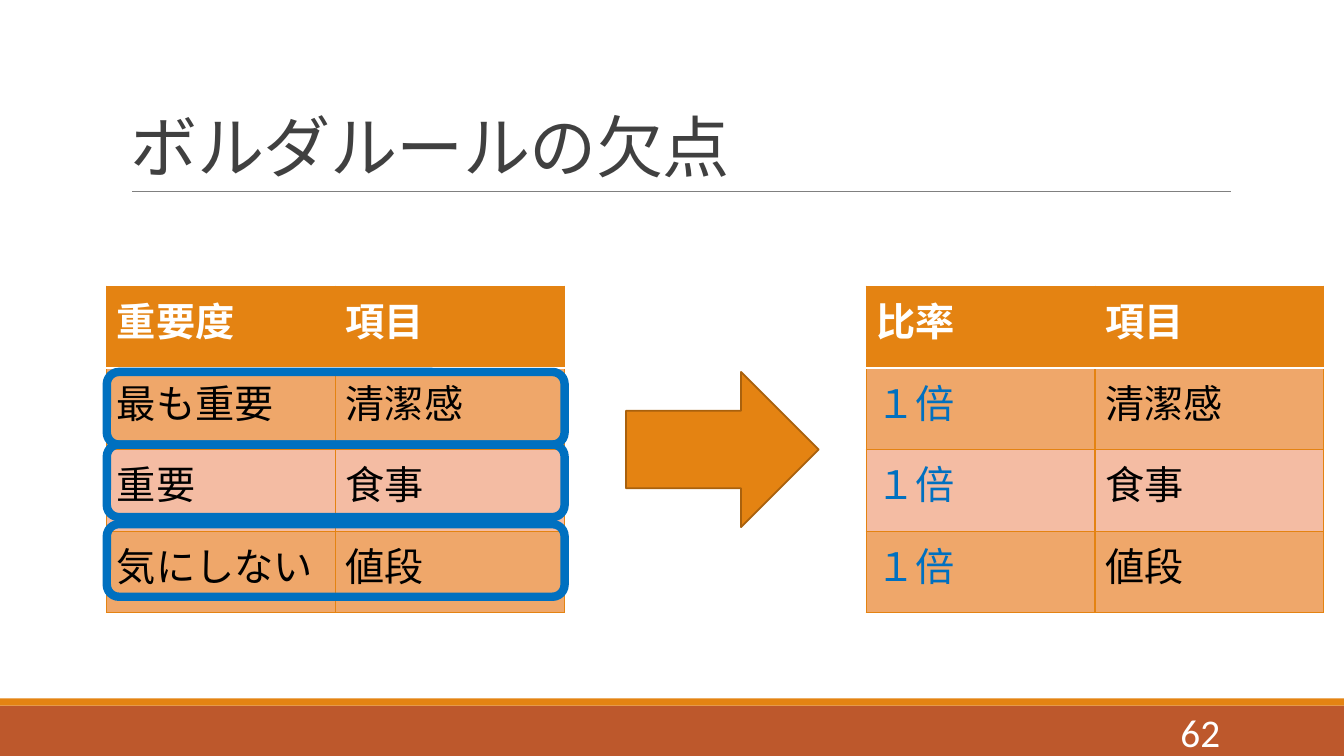
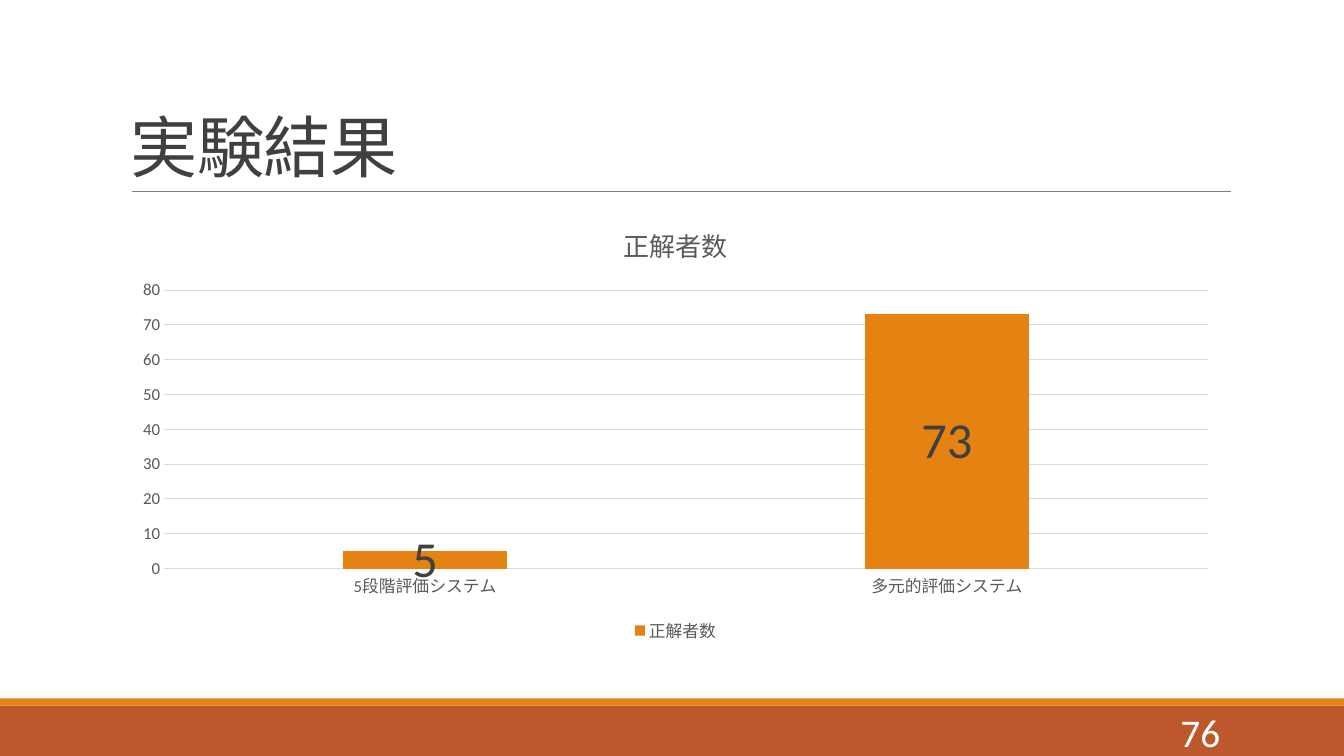
from dataclasses import dataclass

from lxml.etree import SubElement
from pptx import Presentation
from pptx.chart.data import CategoryChartData
from pptx.dml.color import RGBColor
from pptx.enum.chart import (XL_CHART_TYPE, XL_LABEL_POSITION,
                             XL_LEGEND_POSITION, XL_TICK_MARK)
from pptx.enum.shapes import MSO_CONNECTOR, MSO_SHAPE
from pptx.enum.text import MSO_ANCHOR, PP_ALIGN
from pptx.oxml.ns import qn
from pptx.slide import Slide
from pptx.text.text import Font, TextFrame
from pptx.util import Inches, Pt


# Colours and type sizes
@dataclass(frozen=True)
class Theme:
    face: str = "Calibri"
    main: str = "E48312"
    band: str = "BD582C"
    edge: str = "A9610D"
    odd: str = "EFA76A"
    even: str = "F4BCA3"
    mark: str = "0070C0"
    dark: str = "404040"
    gray: str = "595959"
    rule: str = "808080"
    grid: str = "D9D9D9"
    white: str = "FFFFFF"
    black: str = "000000"
    title: float = 48
    label: float = 36
    body: float = 28
    head: float = 18.6
    axis: float = 12


T = Theme()


@dataclass(frozen=True)
class Box:
    left: float
    top: float
    width: float
    height: float

    def emu(self) -> tuple:
        return tuple(map(Inches, (self.left, self.top, self.width, self.height)))


@dataclass(frozen=True)
class Grid:
    box: Box
    rows: tuple
    key: str  # text colour of the first column


RANKS = Grid(Box(1.06, 2.84, 4.54, 3.24),
             (("重要度", "項目"), ("最も重要", "清潔感"),
              ("重要", "食事"), ("気にしない", "値段")), T.black)
RATES = Grid(Box(8.59, 2.84, 4.54, 3.24),
             (("比率", "項目"), ("１倍", "清潔感"),
              ("１倍", "食事"), ("１倍", "値段")), T.mark)
RINGS = (3.69, 4.41, 5.2)


# Text
def rgb(code: str) -> RGBColor:
    return RGBColor.from_string(code)


def style(font: Font, size: float, color: str, bold: bool = False) -> None:
    font.name, font.size, font.bold = T.face, Pt(size), bold
    font.color.rgb = rgb(color)


def put(frame: TextFrame, text: str, *, size: float = T.body,
        color: str = T.black, bold: bool = False, align=None,
        anchor=MSO_ANCHOR.TOP, lead: float | None = None,
        track: float = 0) -> None:
    frame.word_wrap = True
    frame.vertical_anchor = anchor
    para = frame.paragraphs[0]
    para.alignment, para.line_spacing = align, lead
    run = para.add_run()
    run.text = text
    style(run.font, size, color, bold)
    if track:
        run.font._element.set("spc", str(round(track * 100)))


# Shapes
def shape(slide: Slide, kind: MSO_SHAPE, box: Box, fill: str | None = None,
          line: str | None = None, width: float = 1) -> None:
    item = slide.shapes.add_shape(kind, *box.emu())
    item.shadow.inherit = False
    if fill:
        item.fill.solid()
        item.fill.fore_color.rgb = rgb(fill)
    else:
        item.fill.background()
    if line:
        item.line.color.rgb = rgb(line)
        item.line.width = Pt(width)
    else:
        item.line.fill.background()


# Parts shared by both slides
def base(deck, title: str, page: int) -> Slide:
    slide = deck.slides.add_slide(deck.slide_layouts[6])
    shape(slide, MSO_SHAPE.RECTANGLE, Box(0, 7, 13.33, 0.5), T.band)
    shape(slide, MSO_SHAPE.RECTANGLE, Box(0, 6.93, 13.33, 0.07), T.main)
    rule = slide.shapes.add_connector(
        MSO_CONNECTOR.STRAIGHT, *map(Inches, (1.31, 1.9, 12.21, 1.9)))
    rule.line.color.rgb = rgb(T.rule)
    rule.line.width = Pt(0.5)
    SubElement(rule._element.spPr, qn("a:effectLst"))
    head = slide.shapes.add_textbox(*Box(1.2, 0.31, 11, 1.59).emu())
    put(head.text_frame, title, size=T.title, color=T.dark,
        anchor=MSO_ANCHOR.BOTTOM, lead=0.85, track=-0.5)
    foot = slide.shapes.add_textbox(*Box(9.43, 7.06, 2.77, 0.4).emu())
    put(foot.text_frame, str(page), color=T.white,
        align=PP_ALIGN.RIGHT, anchor=MSO_ANCHOR.MIDDLE)
    return slide


# Tables
def border(cell, side: str, color: str, width: float) -> None:
    line = SubElement(cell._tc.get_or_add_tcPr(), qn(f"a:ln{side}"),
                      w=str(Pt(width)))
    fill = SubElement(line, qn("a:solidFill"))
    SubElement(fill, qn("a:srgbClr"), val=color)


def table(slide: Slide, grid: Grid) -> None:
    count = len(grid.rows)
    item = slide.shapes.add_table(count, 2, *grid.box.emu()).table
    for row in item.rows:
        row.height = Inches(grid.box.height / count)
    for r, words in enumerate(grid.rows):
        top = r == 0
        fill = T.main if top else T.odd if r % 2 else T.even
        white = {0: "B", 1: "T"}.get(r)  # white line below the header
        for c, word in enumerate(words):
            cell = item.cell(r, c)
            for side in "LRTB":
                if side == white:
                    border(cell, side, T.white, 1.25)
                else:
                    border(cell, side, T.main, 1)
            cell.fill.solid()
            cell.fill.fore_color.rgb = rgb(fill)
            color = T.white if top else grid.key if c == 0 else T.black
            put(cell.text_frame, word, color=color, bold=top)


# Chart
def chart(slide: Slide, box: Box) -> None:
    data = CategoryChartData()
    data.categories = ["5段階評価システム", "多元的評価システム"]
    data.add_series("正解者数", (5, 73))
    item = slide.shapes.add_chart(
        XL_CHART_TYPE.COLUMN_CLUSTERED, *box.emu(), data).chart
    style(item.font, T.axis, T.gray)

    item.has_title = True
    para = item.chart_title.text_frame.paragraphs[0]
    run = para.add_run()
    run.text = "正解者数"
    style(run.font, T.head, T.gray)
    item.has_legend = True
    item.legend.position = XL_LEGEND_POSITION.BOTTOM
    item.legend.include_in_layout = False
    style(item.legend.font, T.axis, T.gray)

    for axis in (item.category_axis, item.value_axis):
        axis.major_tick_mark = axis.minor_tick_mark = XL_TICK_MARK.NONE
        style(axis.tick_labels.font, T.axis, T.gray)
    grid = item.value_axis.major_gridlines.format.line
    for line in (item.category_axis.format.line, grid):
        line.color.rgb = rgb(T.grid)
        line.width = Pt(0.75)
    item.value_axis.format.line.fill.background()
    item.value_axis.minimum_scale = 0
    item.value_axis.maximum_scale = 80
    item.value_axis.major_unit = 10

    plot = item.plots[0]
    plot.gap_width, plot.overlap = 219, -27
    plot.vary_by_categories = False
    bars = plot.series[0]
    bars.format.fill.solid()
    bars.format.fill.fore_color.rgb = rgb(T.main)
    tags = bars.data_labels
    tags.show_value = True
    tags.position = XL_LABEL_POSITION.CENTER
    style(tags.font, T.label, T.dark)


def main() -> None:
    deck = Presentation()
    deck.slide_width, deck.slide_height = Inches(13.33), Inches(7.5)

    # Weights lost by the rule
    slide = base(deck, "ボルダルールの欠点", 62)
    table(slide, RANKS)
    shape(slide, MSO_SHAPE.RIGHT_ARROW, Box(6.21, 3.69, 1.91, 1.54),
          T.main, T.edge, 1.25)
    table(slide, RATES)
    for top in RINGS:
        ring = Box(RANKS.box.left, top, RANKS.box.width, 0.72)
        shape(slide, MSO_SHAPE.ROUNDED_RECTANGLE, ring, line=T.mark, width=6)

    # Test results
    slide = base(deck, "実験結果", 76)
    chart(slide, Box(1.2, 2.02, 11, 4.4))
    deck.save("out.pptx")


if __name__ == "__main__":
    main()
